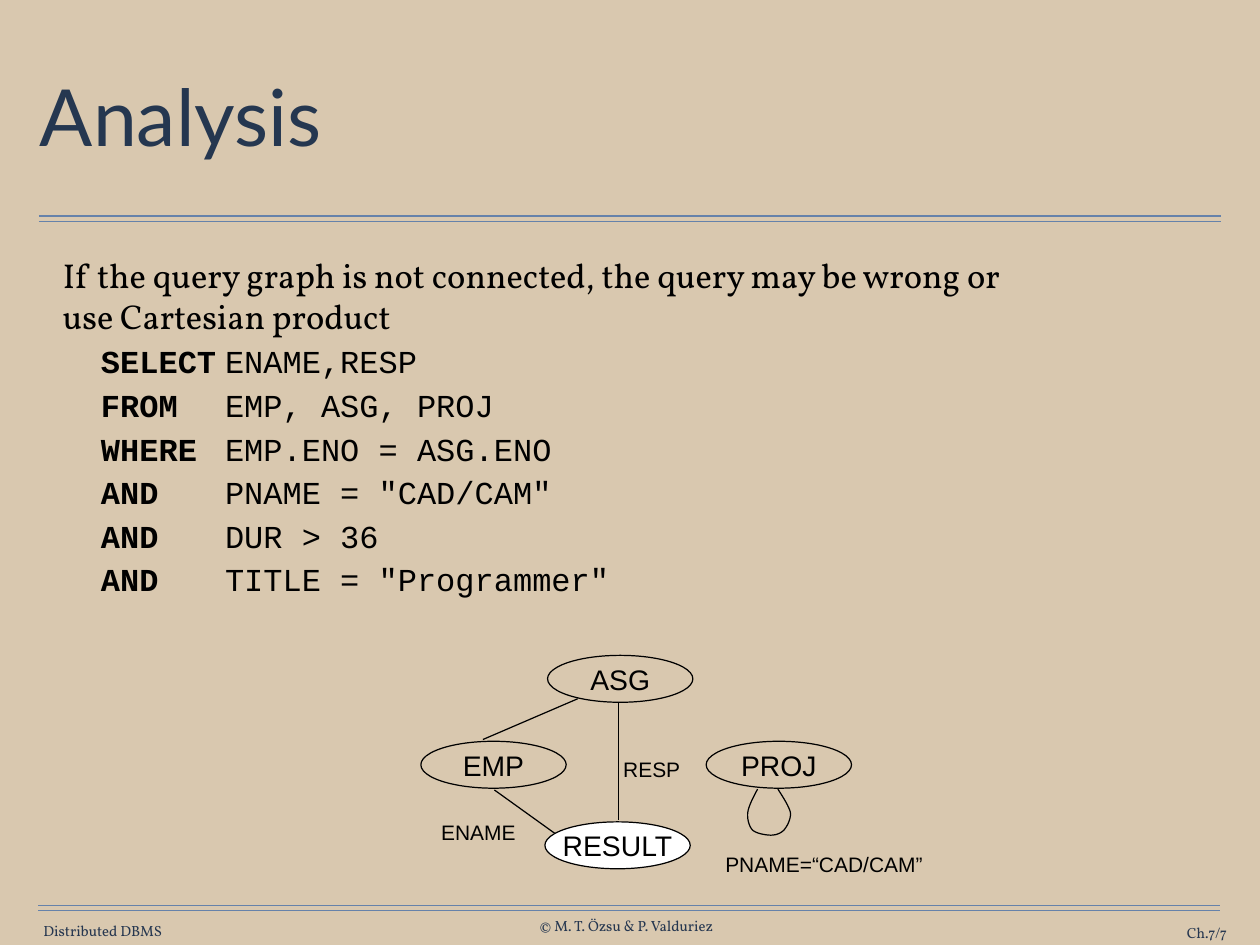
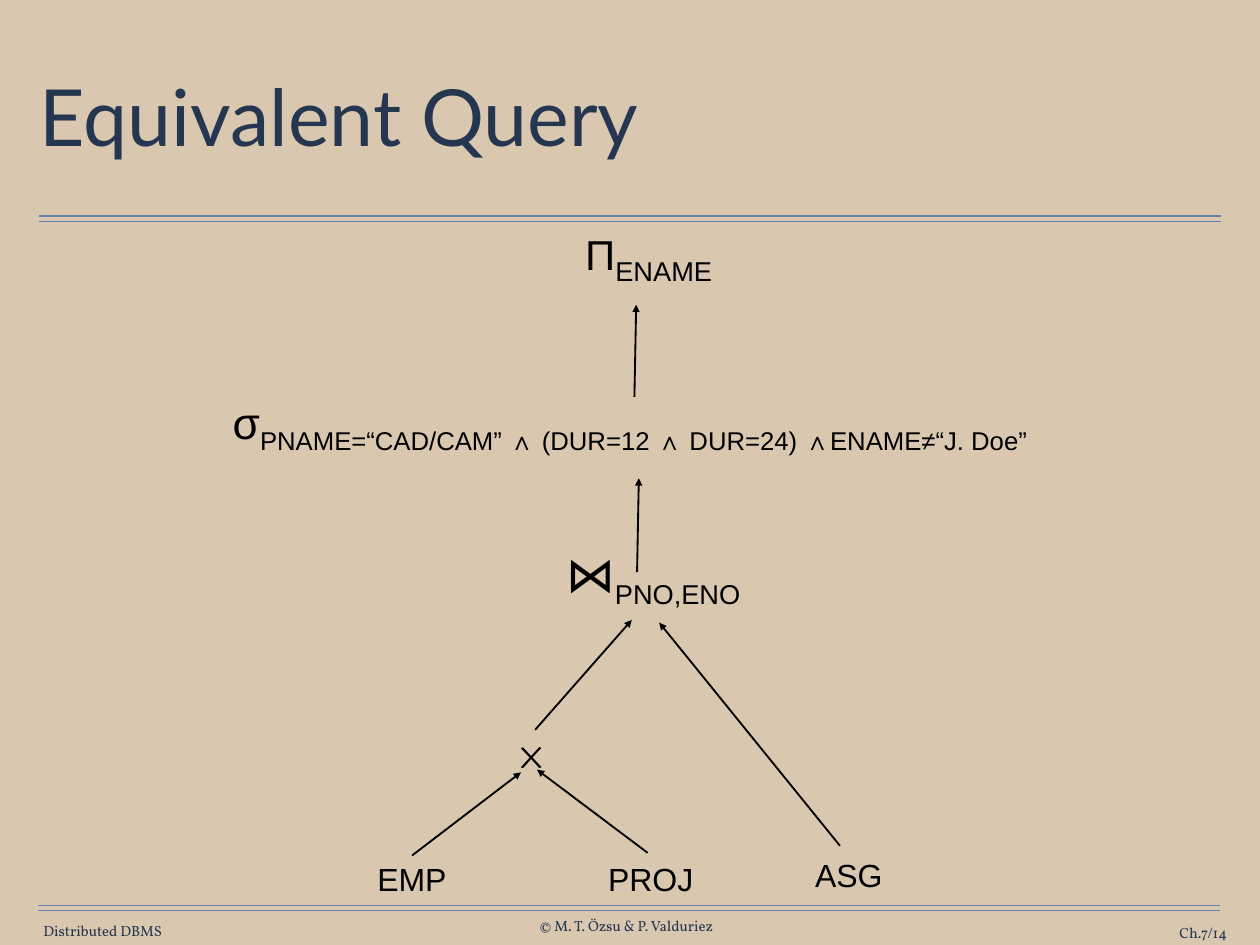
from dataclasses import dataclass

from lxml import etree
from pptx import Presentation
from pptx.dml.color import RGBColor
from pptx.enum.shapes import MSO_CONNECTOR, MSO_SHAPE
from pptx.enum.text import MSO_ANCHOR, MSO_AUTO_SIZE, PP_ALIGN
from pptx.oxml.ns import qn
from pptx.util import Inches, Pt

STRAIGHT = MSO_CONNECTOR.STRAIGHT
ELLIPSE = MSO_SHAPE.OVAL
TOP, MIDDLE = MSO_ANCHOR.TOP, MSO_ANCHOR.MIDDLE
LEFT, CENTER, RIGHT = PP_ALIGN.LEFT, PP_ALIGN.CENTER, PP_ALIGN.RIGHT
NO_AUTOFIT = MSO_AUTO_SIZE.NONE
TITLE_AND_CONTENT, TITLE_ONLY = 1, 5


@dataclass(frozen=True)
class Theme:
    background: str = "D9C8AF"
    rule: str = "6682AA"
    title: str = "253750"
    footer: str = "263750"
    ink: str = "000000"
    paper: str = "FFFFFF"
    heading_font: str = "Lato"
    body_font: str = "Vollkorn"
    code_font: str = "Courier New"
    diagram_font: str = "Arial"
    title_size: int = 64
    body_size: int = 28
    code_size: int = 26
    node_size: int = 23
    label_size: int = 17
    footer_size: int = 12
    operator_size: int = 36
    subscript_size: int = 38
    relation_size: int = 26


@dataclass(frozen=True)
class Box:
    left: float
    top: float
    width: float
    height: float

    def inside(self, left, top, width, height):
        return Box(self.left + left, self.top + top, width, height)

    def point(self, x, y):
        return Inches(self.left + x), Inches(self.top + y)

    def lengths(self):
        return [Inches(value) for value in (self.left, self.top, self.width, self.height)]


THEME = Theme()
PAGE = Box(0, 0, 14.22, 10.67)
TITLE = Box(0.39, 0.49, 13.44, 1.76)
BODY = Box(0.65, 2.81, 11.14, 4.65)
GRAPH = Box(4.75, 7.4, 5.82, 2.58)
TREE = Box(1.54, 2.67, 11.14, 7.47)


def color(value):
    return RGBColor.from_string(value)


def add_run(paragraph, text, font=THEME.diagram_font, size=THEME.label_size,
            ink=THEME.ink, bold=False, baseline=0):
    run = paragraph.add_run()
    run.text = text
    run.font.name = font
    run.font.size = Pt(size)
    run.font.bold = bold
    run.font.color.rgb = color(ink)
    if baseline:
        run._r.get_or_add_rPr().set("baseline", str(baseline * 1000))


def set_frame(frame, insets=(0, 0), anchor=TOP, wrap=True):
    frame.auto_size = NO_AUTOFIT
    frame.word_wrap = wrap
    frame.vertical_anchor = anchor
    frame.margin_left = frame.margin_right = Inches(insets[0])
    frame.margin_top = frame.margin_bottom = Inches(insets[1])


def add_text(slide, box, runs, align=CENTER, line_points=None, **frame_format):
    frame = slide.shapes.add_textbox(*box.lengths()).text_frame
    set_frame(frame, **frame_format)
    paragraph = frame.paragraphs[0]
    paragraph.alignment = align
    if line_points:
        paragraph.line_spacing = Pt(line_points)
    for text, run_format in runs:
        add_run(paragraph, text, **run_format)


def add_line(slide, start, end, ink=THEME.ink, width=1, arrow=False):
    connector = slide.shapes.add_connector(STRAIGHT, *start, *end)
    connector.line.color.rgb = color(ink)
    connector.line.width = Pt(width)
    if arrow:
        etree.SubElement(connector.line._get_or_add_ln(), qn("a:tailEnd"), type="triangle")
    etree.SubElement(connector._element.spPr, qn("a:effectLst"))


def outline(shape, fill=None):
    shape.shadow.inherit = False
    if fill:
        shape.fill.solid()
        shape.fill.fore_color.rgb = color(fill)
    else:
        shape.fill.background()
    shape.line.color.rgb = color(THEME.ink)
    shape.line.width = Pt(1)


def add_frame(slide, box, number):
    for left, top in ((0.44, 2.44), (0.43, 10.22)):
        for offset in (0, 0.06):
            add_line(slide, box.point(left, top + offset),
                     box.point(left + 13.34, top + offset), ink=THEME.rule)
    style = dict(font=THEME.body_font, size=THEME.footer_size, ink=THEME.footer)
    footers = (
        ("Distributed DBMS", 0.47, 10.41, 1.38, CENTER),
        ("© M. T. Özsu & P. Valduriez", 6.03, 10.35, 2.08, CENTER),
        (f"Ch.7/{number}", 12.31, 10.43, 1.54, RIGHT),
    )
    for text, left, top, width, align in footers:
        add_text(slide, box.inside(left, top, width, 0.2), [(text, style)],
                 align=align, anchor=MIDDLE, wrap=align == RIGHT)


def place(placeholder, box, anchor):
    placeholder.left, placeholder.top, placeholder.width, placeholder.height = box.lengths()
    set_frame(placeholder.text_frame, insets=(0.06, 0.06), anchor=anchor)
    return placeholder.text_frame


def new_slide(presentation, layout, title, number):
    slide = presentation.slides.add_slide(presentation.slide_layouts[layout])
    add_frame(slide, PAGE, number)
    paragraph = place(slide.shapes.title, TITLE, MIDDLE).paragraphs[0]
    paragraph.alignment = LEFT
    paragraph.line_spacing = 0.9
    add_run(paragraph, title, font=THEME.heading_font, size=THEME.title_size, ink=THEME.title)
    return slide


def indent(paragraph, margin, first_line):
    properties = paragraph._p.get_or_add_pPr()
    properties.set("marL", str(Inches(margin)))
    properties.set("indent", str(Inches(first_line)))
    properties.set("defTabSz", str(Inches(1)))
    etree.SubElement(properties, qn("a:buNone"))


def fill_query(slide, box):
    frame = place(slide.placeholders[1], box, TOP)
    paragraph = frame.paragraphs[0]
    paragraph.space_before = Pt(12)
    indent(paragraph, 0, 0)
    add_run(paragraph, "If the query graph is not connected, the query may be wrong or "
            "use Cartesian product", font=THEME.body_font, size=THEME.body_size)
    clauses = (
        ("SELECT", "ENAME,RESP"),
        ("FROM", "EMP, ASG, PROJ"),
        ("WHERE", "EMP.ENO = ASG.ENO"),
        ("AND", 'PNAME = "CAD/CAM"'),
        ("AND", "DUR > 36"),
        ("AND", 'TITLE = "Programmer"'),
    )
    for keyword, operand in clauses:
        paragraph = frame.add_paragraph()
        paragraph.level = 1
        paragraph.space_before = Pt(4.2)
        indent(paragraph, 0.83, -0.4)
        style = dict(font=THEME.code_font, size=THEME.code_size)
        add_run(paragraph, keyword, bold=True, **style)
        add_run(paragraph, "\t" + operand, **style)


def add_node(slide, box, name, fill=None):
    ellipse = slide.shapes.add_shape(ELLIPSE, *box.lengths())
    outline(ellipse, fill)
    set_frame(ellipse.text_frame, anchor=MIDDLE, wrap=False)
    paragraph = ellipse.text_frame.paragraphs[0]
    paragraph.alignment = CENTER
    add_run(paragraph, name, size=THEME.node_size)


def curve_points(start, curves, steps=10):
    for first, second, end in curves:
        for step in range(1, steps + 1):
            t = step / steps
            u = 1 - t
            weights = (u ** 3, 3 * u * u * t, 3 * u * t * t, t ** 3)
            corners = (start, first, second, end)
            yield tuple(sum(w * corner[axis] for w, corner in zip(weights, corners))
                        for axis in (0, 1))
        start = end


def add_loop(slide, box):
    start = (0.12, 0)
    curves = (
        ((0.1, 0.04), (0.02, 0.18), (0.01, 0.26)),
        ((0, 0.33), (0.02, 0.41), (0.06, 0.46)),
        ((0.1, 0.5), (0.21, 0.52), (0.27, 0.52)),
        ((0.33, 0.52), (0.38, 0.5), (0.42, 0.46)),
        ((0.46, 0.41), (0.5, 0.33), (0.49, 0.26)),
        ((0.47, 0.18), (0.38, 0.05), (0.35, 0)),
    )
    builder = slide.shapes.build_freeform(*box.point(*start), scale=1.0)
    builder.add_line_segments([box.point(*point) for point in curve_points(start, curves)],
                              close=False)
    outline(builder.convert_to_shape())


def add_query_graph(slide, box):
    edges = (
        ((0.83, 1.52), (1.54, 2.03)),
        ((2.23, 0.53), (2.23, 1.86)),
        ((1.77, 0.49), (0.7, 0.95)),
    )
    for start, end in edges:
        add_line(slide, box.point(*start), box.point(*end))
    nodes = (
        ("ASG", 1.43, 0, None),
        ("EMP", 0, 0.97, None),
        ("PROJ", 3.22, 0.97, None),
        ("RESULT", 1.4, 1.88, THEME.paper),
    )
    for name, left, top, fill in nodes:
        add_node(slide, box.inside(left, top, 1.64, 0.53), name, fill)
    labels = (
        ("PNAME=“CAD/CAM”", 3.28, 2.15, 2.54),
        ("ENAME", 0.08, 1.78, 1.14),
        ("RESP", 2.14, 1.07, 0.93),
    )
    for text, left, top, width in labels:
        add_text(slide, box.inside(left, top, width, 0.43), [(text, {})],
                 insets=(0.14, 0.07), wrap=False)
    add_loop(slide, box.inside(3.68, 1.51, 0.49, 0.52))


def add_operator_tree(slide, box):
    operators = (
        ("Π", 34, THEME.diagram_font, "ENAME", THEME.subscript_size, 4.87, 0, 1.82),
        ("σ", THEME.operator_size, THEME.diagram_font,
         "PNAME=“CAD/CAM” ∧ (DUR=12 ∧ DUR=24) ∧ENAME≠“J. Doe”",
         THEME.operator_size, 0, 1.9, 11.14),
        ("⋈", 40, THEME.body_font, "PNO,ENO", THEME.subscript_size, 4.68, 3.64, 2.3),
        ("×", THEME.operator_size, THEME.body_font, "", THEME.operator_size, 4.31, 5.55, 0.31),
    )
    for symbol, size, font, subscript, subscript_size, left, top, width in operators:
        runs = [(symbol, dict(font=font, size=size))]
        if subscript:
            runs.append((subscript, dict(size=subscript_size, baseline=-25)))
        add_text(slide, box.inside(left, top, width, 0.58), runs,
                 line_points=41.2, wrap=bool(subscript))
    relations = (("EMP", 2.72, 7.03, 0.78), ("PROJ", 5.32, 7.03, 0.97), ("ASG", 7.65, 6.99, 0.78))
    for name, left, top, width in relations:
        add_text(slide, box.inside(left, top, width, 0.44),
                 [(name, dict(size=THEME.relation_size))], line_points=31.3, wrap=False)
    arrows = (
        ((3.11, 6.99), (4.34, 6.05)),
        ((5.77, 6.96), (4.52, 6.02)),
        ((4.5, 5.57), (5.59, 4.33)),
        ((7.94, 6.88), (5.9, 4.36)),
        ((5.65, 3.79), (5.67, 2.73)),
        ((5.62, 1.81), (5.64, 0.77)),
    )
    for start, end in arrows:
        add_line(slide, box.point(*start), box.point(*end), width=1.5, arrow=True)


def main():
    presentation = Presentation()
    presentation.slide_width = Inches(PAGE.width)
    presentation.slide_height = Inches(PAGE.height)
    background = presentation.slide_master.background.fill
    background.solid()
    background.fore_color.rgb = color(THEME.background)

    analysis = new_slide(presentation, TITLE_AND_CONTENT, "Analysis", 7)
    fill_query(analysis, BODY)
    add_query_graph(analysis, GRAPH)

    equivalent_query = new_slide(presentation, TITLE_ONLY, "Equivalent Query", 14)
    add_operator_tree(equivalent_query, TREE)

    presentation.save("out.pptx")


if __name__ == "__main__":
    main()
